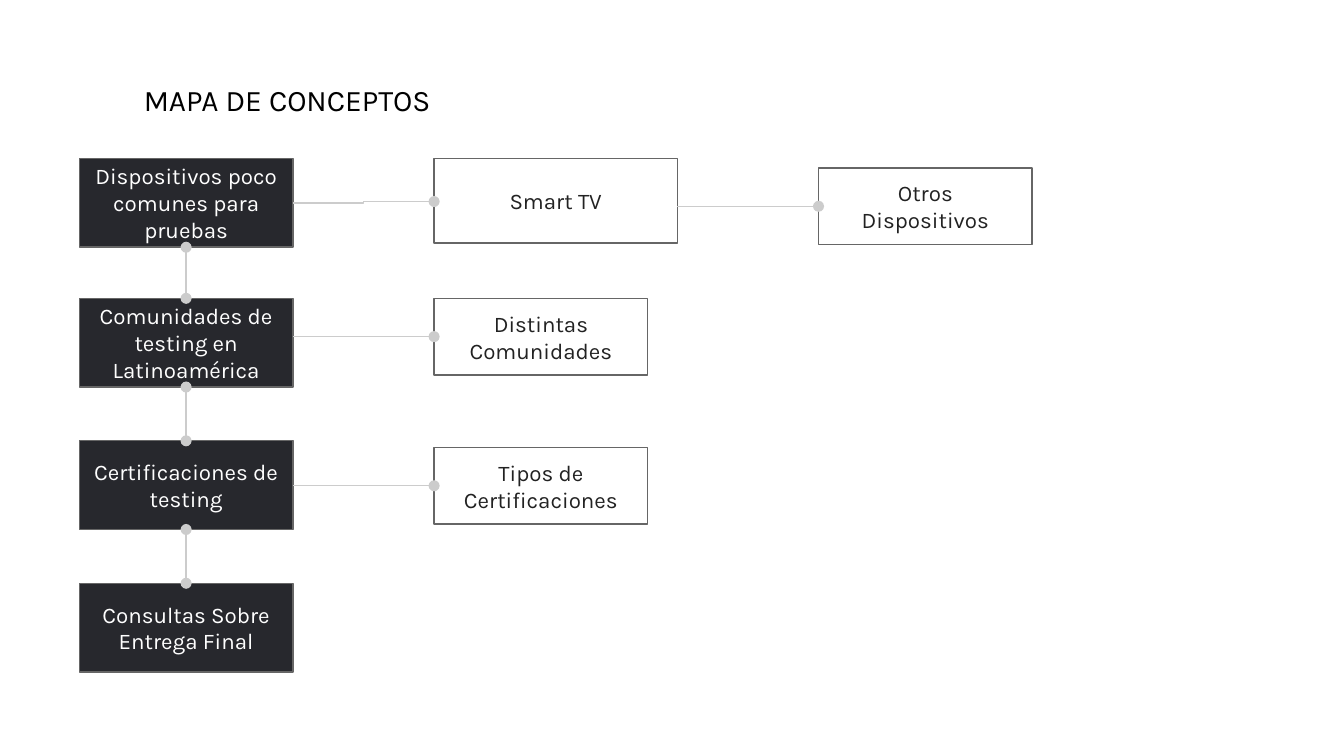
from dataclasses import dataclass

from lxml import etree
from pptx import Presentation
from pptx import util as u
from pptx.dml.color import RGBColor
from pptx.enum import shapes, text
from pptx.oxml.ns import qn


@dataclass(frozen=True)
class Theme:
    font: str = "Karla"
    title_size: float = 16
    label_size: float = 12
    line_width: float = 0.75
    inset: float = 0.1
    black: RGBColor = RGBColor(0, 0, 0)
    white: RGBColor = RGBColor(255, 255, 255)
    dark: RGBColor = RGBColor(0x27, 0x28, 0x2D)
    ink: RGBColor = RGBColor(0x22, 0x22, 0x22)
    border: RGBColor = RGBColor(0x66, 0x66, 0x66)
    link: RGBColor = RGBColor(0xCC, 0xCC, 0xCC)


THEME = Theme()
SLIDE_WIDTH = 10
SLIDE_HEIGHT = SLIDE_WIDTH * 9 / 16
TOPIC_LEFT, DETAIL_LEFT, EXTRA_LEFT = 0.59, 3.23, 6.09
BOX_WIDTH, TOPIC_HEIGHT, DETAIL_HEIGHT = 1.59, 0.66, 0.57
TOPICS = [
    ("Dispositivos poco comunes para pruebas", 1.18),
    ("Comunidades de testing en Latinoamérica", 2.22),
    ("Certificaciones de testing", 3.28),
    ("Consultas Sobre Entrega Final", 4.34),
]


def write(shape, wording, size, color, align, anchor):
    frame = shape.text_frame
    frame.text = wording
    frame.word_wrap = True
    frame.auto_size = text.MSO_AUTO_SIZE.NONE
    frame.vertical_anchor = anchor
    frame.margin_left = frame.margin_right = u.Inches(THEME.inset)
    frame.margin_top = frame.margin_bottom = u.Inches(THEME.inset)
    line = frame.paragraphs[0]
    line.alignment = align
    line.font.name = THEME.font
    line.font.size = u.Pt(size)
    line.font.color.rgb = color


def add_title(slide, wording):
    title = slide.shapes.title
    title.left, title.top = u.Inches(0.97), u.Inches(0.51)
    title.width, title.height = u.Inches(2.69), u.Inches(0.47)
    write(title, wording, THEME.title_size, THEME.black,
          text.PP_ALIGN.LEFT, text.MSO_ANCHOR.TOP)


def add_box(slide, wording, left, top, width, height, fill, color):
    box = slide.shapes.add_shape(
        shapes.MSO_SHAPE.RECTANGLE,
        u.Inches(left), u.Inches(top), u.Inches(width), u.Inches(height))
    box.shadow.inherit = False
    box.fill.solid()
    box.fill.fore_color.rgb = fill
    box.line.color.rgb = THEME.border
    box.line.width = u.Pt(THEME.line_width)
    write(box, wording, THEME.label_size, color,
          text.PP_ALIGN.CENTER, text.MSO_ANCHOR.MIDDLE)


def add_topic(slide, wording, top):
    add_box(slide, wording, TOPIC_LEFT, top, BOX_WIDTH, TOPIC_HEIGHT,
            THEME.dark, THEME.white)


def add_detail(slide, wording, left, top, width=BOX_WIDTH, height=DETAIL_HEIGHT):
    add_box(slide, wording, left, top, width, height, THEME.white, THEME.ink)


def add_link(slide, kind, start, end, dots):
    link = slide.shapes.add_connector(
        kind, *(u.Inches(value) for value in (*start, *end)))
    link.line.color.rgb = THEME.link
    link.line.width = u.Pt(THEME.line_width)
    properties = link._element.spPr
    outline = properties.find(qn("a:ln"))
    for dot in dots:
        etree.SubElement(outline, qn(dot), type="oval")
    etree.SubElement(properties, qn("a:effectLst"))


def link_down(slide, upper_top, lower_top):
    center = TOPIC_LEFT + BOX_WIDTH / 2
    add_link(slide, shapes.MSO_CONNECTOR.STRAIGHT,
             (center, upper_top + TOPIC_HEIGHT), (center, lower_top),
             ("a:headEnd", "a:tailEnd"))


def link_across(slide, start, end):
    add_link(slide, shapes.MSO_CONNECTOR.ELBOW, start, end, ("a:tailEnd",))


def main():
    deck = Presentation()
    deck.slide_width = u.Inches(SLIDE_WIDTH)
    deck.slide_height = u.Inches(SLIDE_HEIGHT)
    slide = deck.slides.add_slide(deck.slide_layouts[5])
    add_title(slide, "MAPA DE CONCEPTOS")

    for wording, top in TOPICS:
        add_topic(slide, wording, top)
    tops = [top for _, top in TOPICS]
    for upper, lower in zip(tops, tops[1:]):
        link_down(slide, upper, lower)

    topic_right = TOPIC_LEFT + BOX_WIDTH
    tv_width = 1.81
    add_detail(slide, "Smart TV", DETAIL_LEFT, tops[0], tv_width, 0.63)
    link_across(slide, (topic_right, tops[0] + TOPIC_HEIGHT / 2), (DETAIL_LEFT, 1.5))

    for wording, top in (("Distintas Comunidades", 2.22),
                         ("Tipos de Certificaciones", 3.33)):
        middle = top + DETAIL_HEIGHT / 2
        add_detail(slide, wording, DETAIL_LEFT, top)
        link_across(slide, (topic_right, middle), (DETAIL_LEFT, middle))

    extra_top = 1.25
    middle = extra_top + DETAIL_HEIGHT / 2
    add_detail(slide, "Otros Dispositivos", EXTRA_LEFT, extra_top)
    link_across(slide, (DETAIL_LEFT + tv_width, middle), (EXTRA_LEFT, middle))

    deck.save("out.pptx")


if __name__ == "__main__":
    main()
